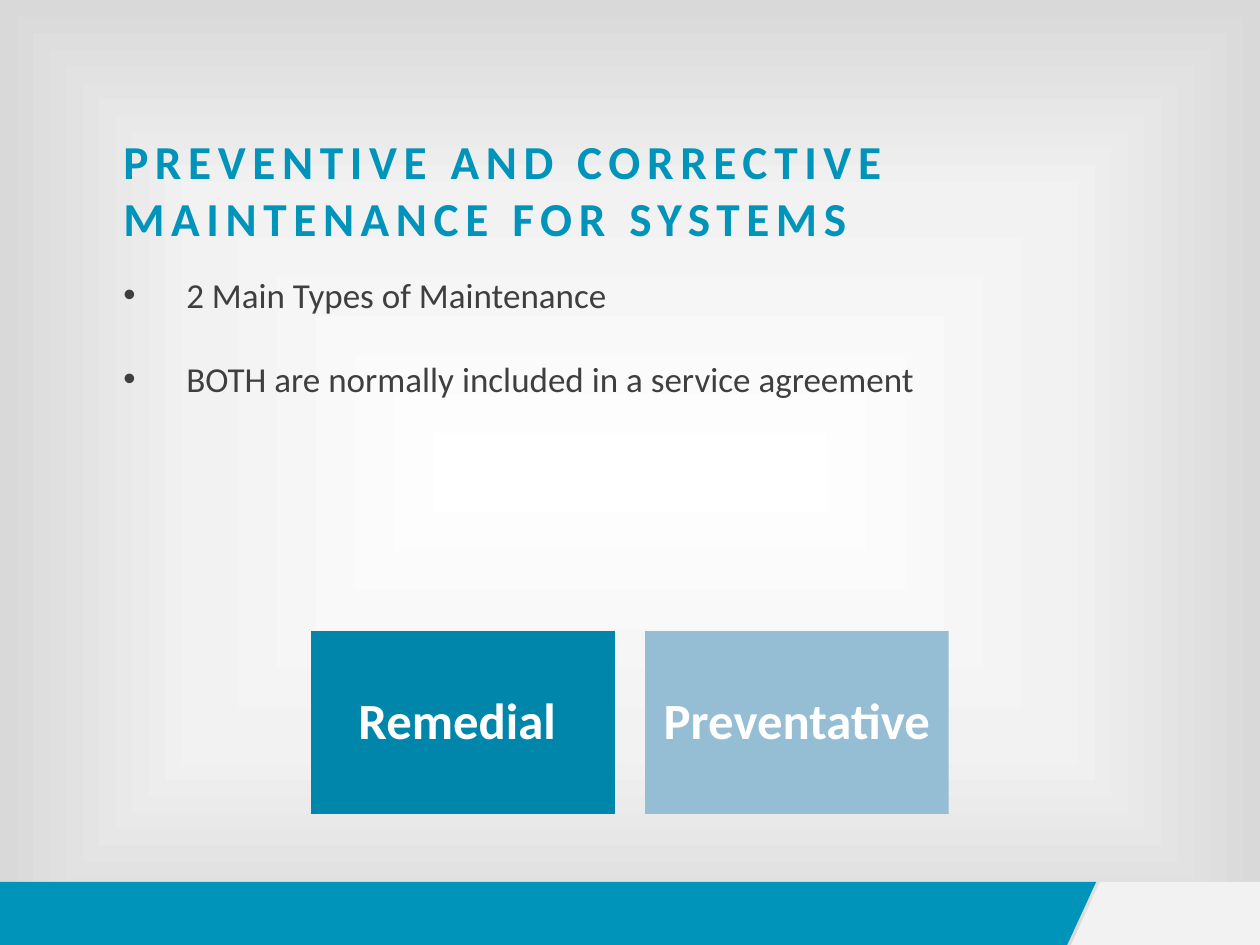
from pptx import Presentation
from pptx.dml.color import RGBColor
from pptx.enum.shapes import MSO_SHAPE
from pptx.enum.text import MSO_ANCHOR, PP_ALIGN
from pptx.oxml import parse_xml
from pptx.oxml.ns import nsdecls
from pptx.util import Inches, Pt

BLUE = RGBColor(0x00, 0x94, 0xBB)
TEAL = RGBColor(0x00, 0x86, 0xAA)
PALE = RGBColor(0x95, 0xBD, 0xD3)
GREY = RGBColor(0xF2, 0xF2, 0xF2)
DARK = RGBColor(0x3F, 0x3F, 0x3F)
WHITE = RGBColor(0xFF, 0xFF, 0xFF)

deck = Presentation()
deck.slide_width, deck.slide_height = Inches(10), Inches(7.5)
COL, ROW = deck.slide_width / 10, deck.slide_height / 15
slide = deck.slides.add_slide(deck.slide_layouts[6])


def grid(x, y, w, h):
    """Turn columns and rows into lengths."""
    return round(x * COL), round(y * ROW), round(w * COL), round(h * ROW)


def write(shape, *lines, size, color, bold=False, track=0, bullet=False, gap=0,
          pad=None, align=PP_ALIGN.LEFT, anchor=MSO_ANCHOR.TOP, lead=None):
    frame = shape.text_frame
    frame.word_wrap = True
    frame.vertical_anchor = anchor
    if pad is not None:
        frame.margin_left = frame.margin_right = pad
        frame.margin_top = frame.margin_bottom = pad
    for i, line in enumerate(lines):
        para = frame.add_paragraph() if i else frame.paragraphs[0]
        para.alignment = align
        para.line_spacing = lead
        if i:
            para.space_before = Pt(gap)
        if bullet:
            props = para._p.get_or_add_pPr()
            props.set("marL", str(Inches(0.5)))
            props.set("indent", str(-Inches(0.5)))
            props.append(parse_xml(f'<a:buFont {nsdecls("a")} typeface="Arial"/>'))
            props.append(parse_xml(f'<a:buChar {nsdecls("a")} char="•"/>'))
        run = para.add_run()
        run.text = line
        font = run.font
        font.name, font.size, font.bold = "Calibri", Pt(size), bold
        font.color.rgb = color
        if track:
            run._r.get_or_add_rPr().set("spc", str(round(track * 100)))


# Background: light centre fading to grey edges
slide.background.fill.solid()
back = slide.background._cSld.bg.bgPr
stops = "".join(
    f'<a:gs pos="{pos * 1000}"><a:srgbClr val="{tint}"/></a:gs>'
    for pos, tint in ((0, WHITE), (58, GREY), (100, "D9D9D9")))
back.replace(back[0], parse_xml(
    f'<a:gradFill {nsdecls("a")} rotWithShape="1"><a:gsLst>{stops}</a:gsLst>'
    '<a:path path="rect"><a:fillToRect l="50000" t="50000" r="50000" b="50000"/>'
    '</a:path></a:gradFill>'))

# Footer bands with slanted ends
for color, points in (
        (BLUE, [(0, 14), (8.7, 14), (8.47, 15), (0, 15)]),
        (GREY, [(8.73, 14), (10, 14), (10, 15), (8.5, 15)])):
    spots = [(round(x * COL), round(y * ROW)) for x, y in points]
    pen = slide.shapes.build_freeform(*spots[0])
    pen.add_line_segments(spots[1:], close=True)
    band = pen.convert_to_shape()
    band.shadow.inherit = False
    band.fill.solid()
    band.fill.fore_color.rgb = color
    band.line.fill.background()

# Title and bullets
title = slide.shapes.add_textbox(*grid(0.88, 2, 8.25, 1.3))
write(title, "PREVENTIVE AND CORRECTIVE MAINTENANCE FOR SYSTEMS",
      size=27, color=BLUE, bold=True, track=3.8)
body = slide.shapes.add_textbox(*grid(0.88, 4.24, 8.25, 8.68))
write(body, "2 Main Types of Maintenance",
      "BOTH are normally included in a service agreement",
      size=20, color=DARK, bullet=True, gap=24)

# Two types of maintenance
for i, (name, color) in enumerate((("Remedial ", TEAL), ("Preventative ", PALE))):
    box = slide.shapes.add_shape(
        MSO_SHAPE.RECTANGLE, *grid(2.47 + 2.65 * i, 10.02, 2.41, 2.9))
    box.shadow.inherit = False
    box.fill.solid()
    box.fill.fore_color.rgb = color
    box.line.fill.background()
    write(box, name, size=29, color=WHITE, bold=True, pad=Inches(0.12),
          align=PP_ALIGN.CENTER, anchor=MSO_ANCHOR.MIDDLE, lead=0.9)

deck.save("out.pptx")
